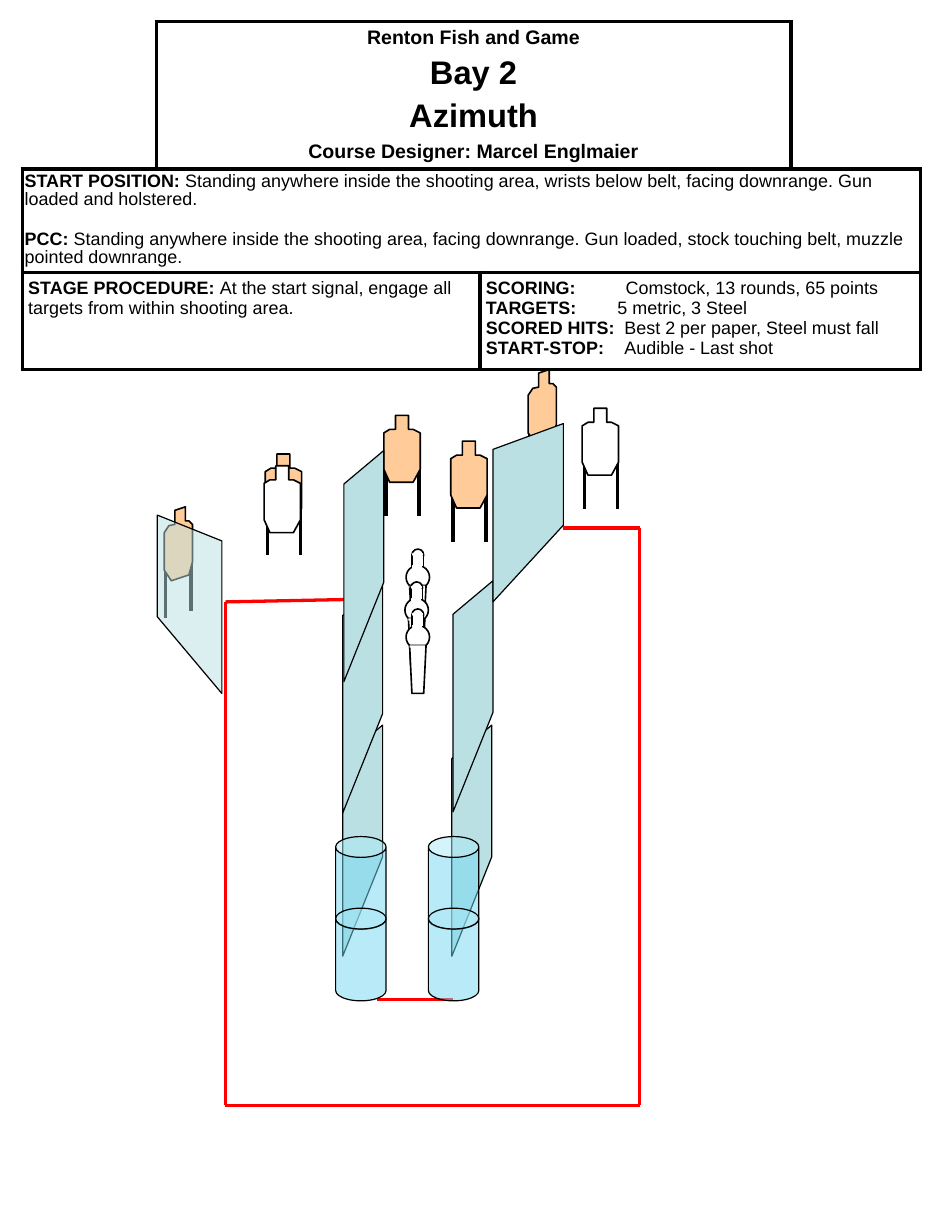
from lxml.etree import SubElement
from pptx import Presentation
from pptx.dml.color import RGBColor
from pptx.enum.shapes import MSO_CONNECTOR, MSO_SHAPE
from pptx.enum.text import MSO_ANCHOR, PP_ALIGN
from pptx.oxml import parse_xml
from pptx.oxml.ns import nsdecls, qn
from pptx.util import Inches, Pt

BLACK = RGBColor(0x00, 0x00, 0x00)
WHITE = RGBColor(0xFF, 0xFF, 0xFF)
RED = RGBColor(0xFF, 0x00, 0x00)
TAN = RGBColor(0xFF, 0xCC, 0x99)
WALL_TEAL = RGBColor(0xBB, 0xE0, 0xE3)
BARREL_BLUE = RGBColor(0x73, 0xD9, 0xF1)

# Outlines and legs in inches from a target's top left corner
FRONT_OUTLINE = [(.1, 0), (.21, 0), (.21, .12), (.25, .12), (.31, .15), (.31, .46),
                 (.25, .57), (.05, .57), (0, .46), (0, .15), (.05, .12), (.1, .12)]
FRONT_LEGS = [(.02, .42), (.3, .42)]
ANGLED_OUTLINE = [(.09, .03), (.18, 0), (.18, .12), (.21, .12), (.24, .15), (.24, .47),
                  (.21, .58), (.06, .63), (0, .54), (0, .22), (.04, .16), (.09, .15)]
ANGLED_LEGS = [(.01, .51), (.23, .45)]
LEG_HEIGHT = .44


def style(shape, fill, line=BLACK, width=1, alpha=None):
    shape.shadow.inherit = False
    shape.fill.solid()
    shape.fill.fore_color.rgb = fill
    if alpha:
        color = shape.fill._xPr.find(qn("a:solidFill"))[0]
        SubElement(color, qn("a:alpha"), val=str(alpha * 1000))
    if line is None:
        shape.line.fill.background()
    else:
        shape.line.color.rgb = line
        shape.line.width = Pt(width)


def add_line(shapes, start, end, color, width):
    line = shapes.add_connector(MSO_CONNECTOR.STRAIGHT,
                                *(Inches(v) for v in (*start, *end)))
    line.line.color.rgb = color
    line.line.width = Pt(width)
    SubElement(line._element.spPr, qn("a:effectLst"))


def add_outline(shapes, left, top, points, fill, **look):
    corners = [(Inches(left + x), Inches(top + y)) for x, y in points]
    builder = shapes.build_freeform(*corners[0], scale=1.0)
    builder.add_line_segments(corners[1:], close=True)
    style(builder.convert_to_shape(), fill, **look)


def add_wall(shapes, left, top, width, height, mirrored=False, alpha=None):
    near, far = (width, 0) if mirrored else (0, width)
    points = [(far, .57 * height), (near, height), (near, .145 * height), (far, 0)]
    add_outline(shapes, left, top, points, WALL_TEAL, width=.75, alpha=alpha)


def add_barrels(shapes, left, top):
    stack = shapes.add_group_shape().shapes
    for level in range(2):
        barrel = stack.add_shape(MSO_SHAPE.CAN, Inches(left), Inches(top + .61 * level),
                                 Inches(.43), Inches(.79))
        barrel.adjustments[0] = .413
        style(barrel, BARREL_BLUE, width=.75, alpha=50)


def add_target(shapes, left, top, fill, outline=FRONT_OUTLINE, legs=FRONT_LEGS):
    target = shapes.add_group_shape().shapes
    for x, y in legs:
        add_line(target, (left + x, top + y), (left + x, top + y + LEG_HEIGHT), BLACK, 2.25)
    add_outline(target, left, top, outline, fill)


def add_popper(shapes, left, top):
    popper = shapes.add_group_shape().shapes

    def part(kind, x, y, width, height, line):
        shape = popper.add_shape(kind, Inches(left + x), Inches(top + y),
                                 Inches(width), Inches(height))
        style(shape, WHITE, line)

    part(MSO_SHAPE.OVAL, .05, 0, .1, .1, BLACK)
    part(MSO_SHAPE.OVAL, 0, .14, .2, .2, BLACK)
    add_outline(popper, left, top, [(.03, .31), (.17, .31), (.15, .72), (.05, .72)], WHITE)
    part(MSO_SHAPE.RECTANGLE, .05, .05, .1, .1, BLACK)
    # White strips hide the seams between the parts
    part(MSO_SHAPE.RECTANGLE, .03, .31, .13, .02, None)
    part(MSO_SHAPE.RECTANGLE, .06, .14, .07, .02, WHITE)
    part(MSO_SHAPE.RECTANGLE, .06, .04, .08, .01, WHITE)


def set_borders(cell, sides):
    props = cell._tc.get_or_add_tcPr()
    for index, side in enumerate("LRTB"):
        paint = (f'<a:solidFill><a:srgbClr val="{BLACK}"/></a:solidFill>'
                 if side in sides else "<a:noFill/>")
        props.insert(index, parse_xml(
            f'<a:ln{side} {nsdecls("a")} w="{Pt(2.25)}">{paint}</a:ln{side}>'))


def fill_cell(cell, paragraphs, margin_x=.05, margin_y=.05):
    """Each paragraph is a list of (text, size, bold) runs."""
    cell.margin_left = cell.margin_right = Inches(margin_x)
    cell.margin_top = cell.margin_bottom = Inches(margin_y)
    frame = cell.text_frame
    for index, runs in enumerate(paragraphs):
        paragraph = frame.paragraphs[0] if index == 0 else frame.add_paragraph()
        for text, size, bold in runs:
            run = paragraph.add_run()
            run.text = text
            run.font.name = "Arial"
            run.font.size = Pt(size)
            run.font.bold = bold
            run.font.color.rgb = BLACK
    return frame.paragraphs


def add_briefing(shapes, left, top, width, height):
    frame = shapes.add_table(3, 4, Inches(left), Inches(top), Inches(width), Inches(height))
    table = frame.table
    table.first_row = table.horz_banding = False
    for column, size in zip(table.columns, (1.14, 2.76, 2.65, 1.1)):
        column.width = Inches(size)
    for row, size in zip(table.rows, (1.26, .88, .83)):
        row.height = Inches(size)
    for row in range(3):
        for column in range(4):
            cell = table.cell(row, column)
            cell.fill.solid()
            cell.fill.fore_color.rgb = WHITE
            set_borders(cell, {(0, 0): "RB", (0, 3): "LB"}.get((row, column), "LRTB"))
    for row, first, last in ((0, 1, 2), (1, 0, 3), (2, 0, 1), (2, 2, 3)):
        table.cell(row, first).merge(table.cell(row, last))

    # Stage heading
    heading = table.cell(0, 1)
    heading.vertical_anchor = MSO_ANCHOR.MIDDLE
    lines = fill_cell(heading, [[("Renton Fish and Game", 12, True)], [("Bay 2", 20, True)],
                                [("Azimuth", 20, True)],
                                [("Course Designer: Marcel Englmaier", 12, True)]])
    for index, line in enumerate(lines):
        line.alignment = PP_ALIGN.CENTER
        if index:
            line.space_before = Pt(4)

    # Start position
    starts = fill_cell(table.cell(1, 0), [
        [("START POSITION:", 11, True),
         (" Standing anywhere inside the shooting area, wrists below belt, facing "
          "downrange. Gun loaded and holstered.", 11, False)],
        [("PCC: ", 11, True),
         ("Standing anywhere inside the shooting area, facing downrange. Gun loaded, "
          "stock touching belt, muzzle pointed downrange.", 11, False)]], .02, .04)
    for start in starts:
        start.line_spacing = .9
    starts[1].space_before = Pt(13.5)

    # Procedure and scoring
    fill_cell(table.cell(2, 0), [[
        ("STAGE PROCEDURE: ", 11, True),
        ("At the start signal, engage all targets from within shooting area.", 11, False)]])
    scoring = [("SCORING:", "Comstock, 13 rounds, 65 points", 1.19),
               ("TARGETS:", "5 metric, 3 Steel", 1.12),
               ("SCORED HITS:", "Best 2 per paper, Steel must fall", 1.18),
               ("START-STOP:", "Audible - Last shot", 1.18)]
    rules = fill_cell(table.cell(2, 2), [[(label, 11, True), ("\t" + value, 11, False)]
                                         for label, value, _ in scoring])
    for rule, (_, _, stop) in zip(rules, scoring):
        tabs = SubElement(rule._p.get_or_add_pPr(), qn("a:tabLst"))
        SubElement(tabs, qn("a:tab"), pos=str(Inches(stop)), algn="l")


def add_shooting_area(shapes, left, top, right, bottom):
    fault_line = [(4.8, top), (right, top), (right, bottom), (left, bottom),
                  (left, 5.13), (2.93, 5.11)]
    for start, end in zip(fault_line, fault_line[1:]):
        add_line(shapes, start, end, RED, 2)
    add_line(shapes, (3.86, 8.52), (3.21, 8.52), RED, 2)


def add_course(shapes):
    # Near walls and barrels
    add_wall(shapes, 3.85, 6.18, .34, 1.97)
    add_barrels(shapes, 3.65, 7.13)
    for left, top in ((3.86, 4.95), (2.92, 6.18), (2.92, 4.96)):
        add_wall(shapes, left, top, .34, 1.97)
    add_barrels(shapes, 2.86, 7.13)
    # Right and centre targets
    add_target(shapes, 4.96, 3.48, WHITE)
    add_target(shapes, 3.84, 3.76, TAN)
    add_target(shapes, 4.5, 3.15, TAN, ANGLED_OUTLINE, ANGLED_LEGS)
    add_wall(shapes, 4.2, 3.61, .6, 1.52)
    add_target(shapes, 3.27, 3.54, TAN)
    add_wall(shapes, 2.93, 3.84, .34, 1.97)
    # Steel
    for left, top in ((3.46, 4.68), (3.45, 4.96), (3.46, 5.19)):
        add_popper(shapes, left, top)
    # Left targets
    add_target(shapes, 1.4, 4.32, TAN, ANGLED_OUTLINE, ANGLED_LEGS)
    add_target(shapes, 2.26, 3.87, TAN)
    add_outline(shapes, 2.25, 3.97, FRONT_OUTLINE, WHITE)
    add_wall(shapes, 1.34, 4.39, .55, 1.52, mirrored=True, alpha=50)


def main():
    deck = Presentation()
    deck.slide_width, deck.slide_height = Inches(8), Inches(10.5)
    shapes = deck.slides.add_slide(deck.slide_layouts[6]).shapes
    add_briefing(shapes, .19, .18, 7.65, 2.97)
    add_shooting_area(shapes, 1.92, 4.5, 5.45, 9.42)
    add_course(shapes)
    deck.save("out.pptx")


if __name__ == "__main__":
    main()
